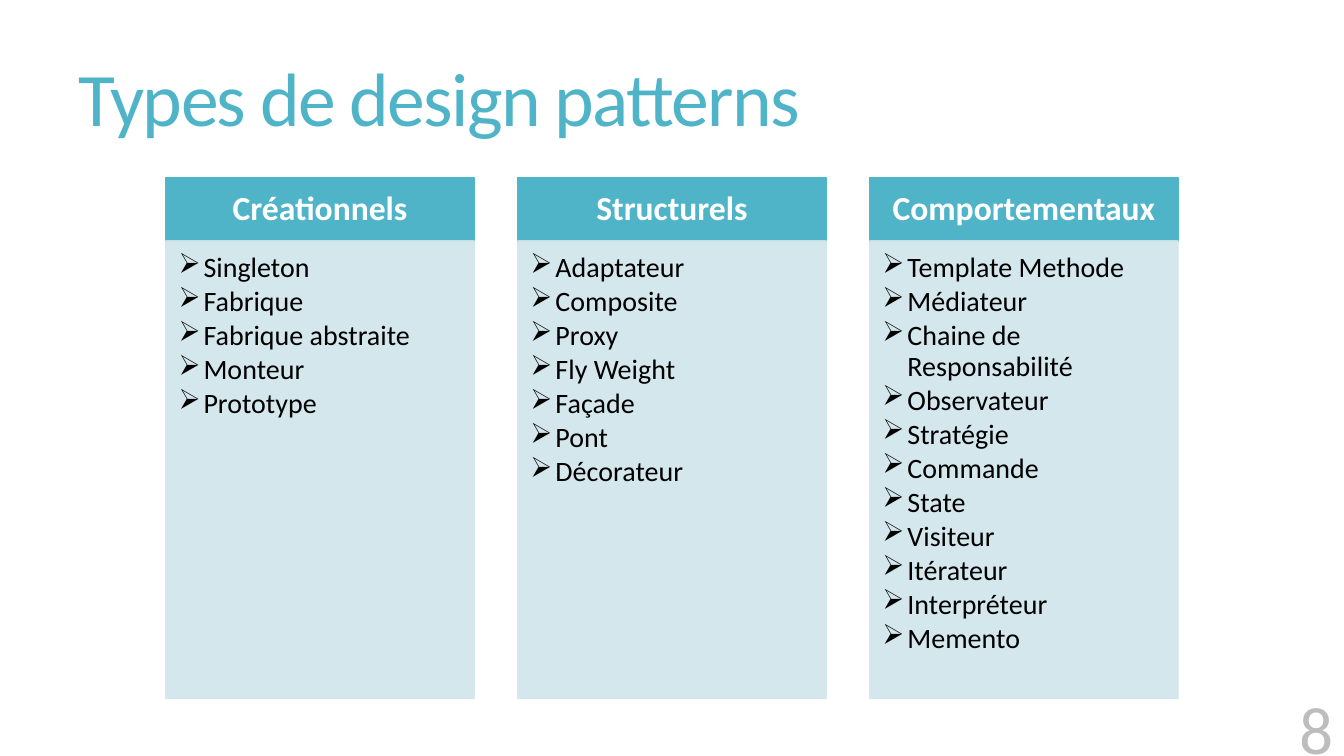
from dataclasses import dataclass

from lxml.etree import SubElement
from pptx import Presentation
from pptx.dml.color import RGBColor
from pptx.enum.shapes import MSO_SHAPE as Shape
from pptx.enum.text import MSO_ANCHOR as Anchor, MSO_AUTO_SIZE as AutoSize, PP_ALIGN as Align
from pptx.oxml.ns import qn
from pptx.util import Cm, Pt


@dataclass(frozen=True)
class Theme:
    font: str = "Calibri"
    accent: RGBColor = RGBColor(0x50, 0xB4, 0xC8)
    panel: RGBColor = RGBColor(0xD0, 0xE5, 0xEB)
    white: RGBColor = RGBColor(0xFF, 0xFF, 0xFF)
    black: RGBColor = RGBColor(0x00, 0x00, 0x00)
    panel_opacity: int = 90
    number_opacity: int = 25
    title_size: int = 54
    number_size: int = 48
    header_size: int = 24
    item_size: int = 20


THEME = Theme()

# Column geometry in centimetres
COLUMN_LEFT, COLUMN_PITCH, COLUMN_WIDTH = 4.18, 8.87, 7.77
HEADER_TOP, HEADER_HEIGHT, PANEL_HEIGHT = 4.47, 1.6, 11.53

COLUMNS = {
    "Créationnels": ["Singleton", "Fabrique", "Fabrique abstraite", "Monteur", "Prototype"],
    "Structurels": ["Adaptateur", "Composite", "Proxy", "Fly Weight", "Façade", "Pont",
                    "Décorateur"],
    "Comportementaux": ["Template Methode", "Médiateur", "Chaine de Responsabilité",
                        "Observateur", "Stratégie", "Commande", "State", "Visiteur",
                        "Itérateur", "Interpréteur", "Memento"],
}


def set_opacity(element, percent):
    """Give every solid colour below the element an opacity."""
    for color in element.iter(qn("a:srgbClr")):
        SubElement(color, qn("a:alpha"), val=str(percent * 1000))


def format_runs(paragraph, size, color, bold=False):
    for run in paragraph.runs:
        run.font.name = THEME.font
        run.font.size = Pt(size)
        run.font.bold = bold
        run.font.color.rgb = color


def set_margins(text_frame, left, top, right, bottom):
    text_frame.margin_left, text_frame.margin_top = Cm(left), Cm(top)
    text_frame.margin_right, text_frame.margin_bottom = Cm(right), Cm(bottom)


def add_bullet(paragraph):
    properties = paragraph._p.get_or_add_pPr()
    properties.set("marL", str(Cm(0.63)))
    properties.set("indent", str(Cm(-0.63)))
    SubElement(properties, qn("a:buChar"), char="➢")


def add_box(slide, left, top, height, color):
    shape = slide.shapes.add_shape(
        Shape.RECTANGLE, Cm(left), Cm(top), Cm(COLUMN_WIDTH), Cm(height))
    shape.shadow.inherit = False
    shape.fill.solid()
    shape.fill.fore_color.rgb = color
    shape.line.color.rgb = color
    shape.line.width = Pt(1)
    shape.text_frame.word_wrap = True
    return shape


def add_header(slide, left, heading):
    shape = add_box(slide, left, HEADER_TOP, HEADER_HEIGHT, THEME.accent)
    text_frame = shape.text_frame
    text_frame.text = heading
    text_frame.vertical_anchor = Anchor.MIDDLE
    set_margins(text_frame, 0.48, 0.28, 0.48, 0.28)
    paragraph = text_frame.paragraphs[0]
    paragraph.alignment = Align.CENTER
    paragraph.line_spacing = 0.9
    format_runs(paragraph, THEME.header_size, THEME.white, bold=True)


def add_pattern_list(slide, left, patterns):
    shape = add_box(slide, left, HEADER_TOP + HEADER_HEIGHT, PANEL_HEIGHT, THEME.panel)
    set_opacity(shape._element.spPr, THEME.panel_opacity)
    text_frame = shape.text_frame
    text_frame.text = "\n".join(patterns)
    text_frame.vertical_anchor = Anchor.TOP
    set_margins(text_frame, 0.32, 0.32, 0.42, 0.42)
    for paragraph in text_frame.paragraphs:
        paragraph.alignment = Align.LEFT
        paragraph.line_spacing = 0.9
        paragraph.space_after = Pt(2.7)
        add_bullet(paragraph)
        format_runs(paragraph, THEME.item_size, THEME.black)


def set_title(slide, text):
    title = slide.shapes.title
    title.left, title.top, title.width, title.height = Cm(1.73), Cm(0.3), Cm(29.92), Cm(4.6)
    text_frame = title.text_frame
    text_frame.text = text
    text_frame.auto_size = AutoSize.NONE
    text_frame.vertical_anchor = Anchor.MIDDLE
    paragraph = text_frame.paragraphs[0]
    paragraph.alignment = Align.LEFT
    paragraph.line_spacing = 0.85
    format_runs(paragraph, THEME.title_size, THEME.accent)
    paragraph.runs[0].font._element.set("spc", "-120")


def add_page_number(slide, number):
    shape = slide.shapes.add_textbox(Cm(25.73), Cm(15.6), Cm(8.13), Cm(3.88))
    text_frame = shape.text_frame
    text_frame.word_wrap = True
    text_frame.text = number
    text_frame.vertical_anchor = Anchor.BOTTOM
    paragraph = text_frame.paragraphs[0]
    paragraph.alignment = Align.RIGHT
    format_runs(paragraph, THEME.number_size, THEME.black)
    set_opacity(paragraph._p, THEME.number_opacity)


def main():
    presentation = Presentation()
    presentation.slide_width, presentation.slide_height = Cm(33.87), Cm(19.05)
    slide = presentation.slides.add_slide(presentation.slide_layouts.get_by_name("Title Only"))

    # Title and page number
    set_title(slide, "Types de design patterns")
    add_page_number(slide, "8")

    # One column per family of patterns
    for index, (heading, patterns) in enumerate(COLUMNS.items()):
        left = COLUMN_LEFT + index * COLUMN_PITCH
        add_header(slide, left, heading)
        add_pattern_list(slide, left, patterns)

    presentation.save("out.pptx")


if __name__ == "__main__":
    main()
